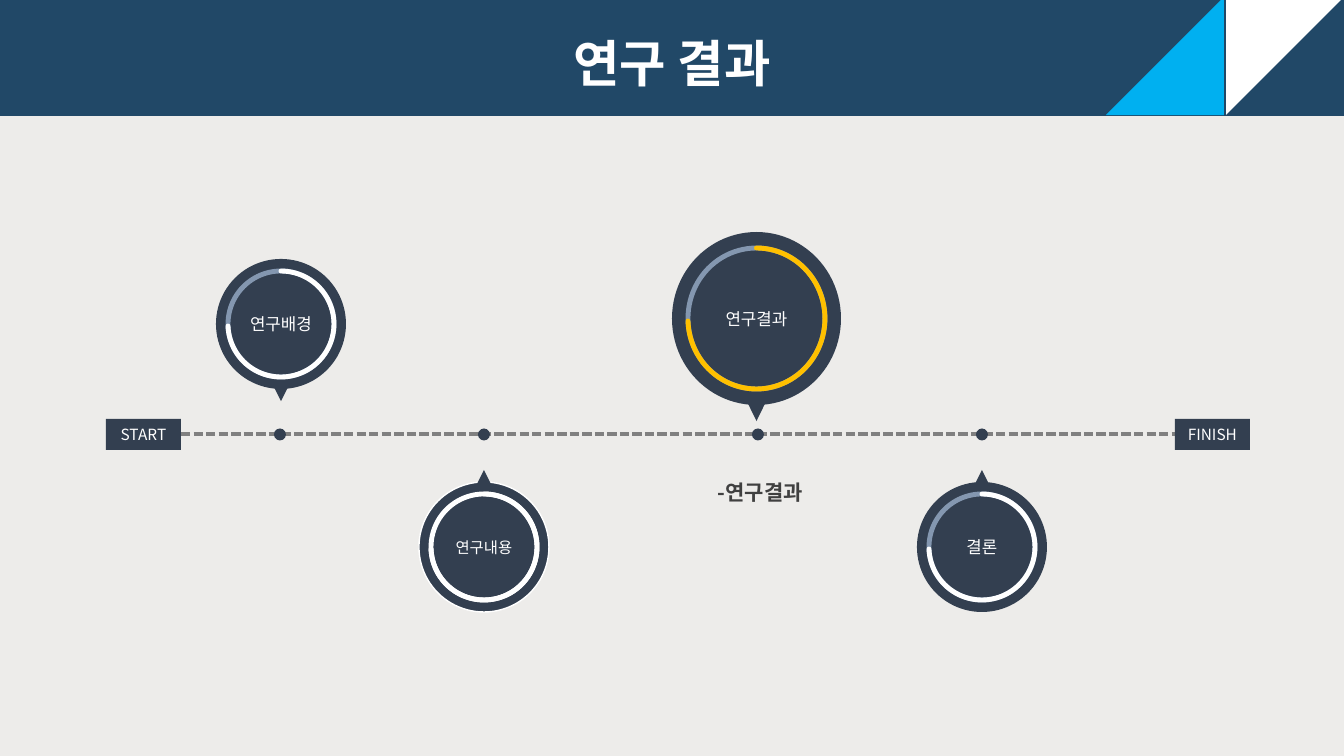
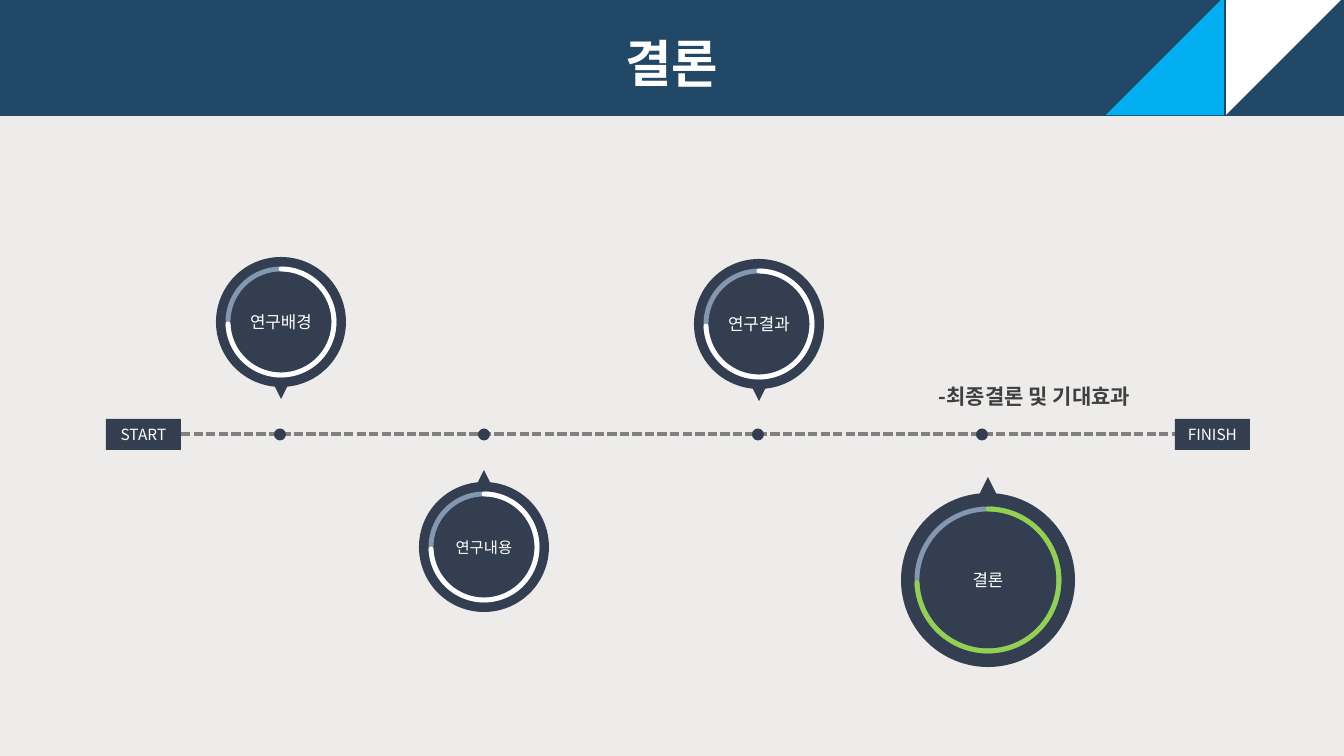
import dataclasses

import pptx
import pptx.dml.color
import pptx.enum.dml
import pptx.enum.shapes
import pptx.enum.text
import pptx.oxml
import pptx.oxml.ns
import pptx.util

SLIDE_WIDTH, SLIDE_HEIGHT = 1344, 756
EMU_PER_PX = 12192000 / SLIDE_WIDTH
SHAPE = pptx.enum.shapes.MSO_SHAPE
ALIGN = pptx.enum.text.PP_ALIGN
ANCHOR = pptx.enum.text.MSO_ANCHOR


@dataclasses.dataclass(frozen=True)
class Theme:
    font: str = "Noto Sans CJK KR"
    page: str = "EDECEA"
    band: str = "214867"
    accent: str = "00B0F0"
    white: str = "FFFFFF"
    dark: str = "333F50"
    track: str = "8497B0"
    axis: str = "808080"
    caption: str = "404040"
    result: str = "FFC000"
    conclusion: str = "92D050"
    title_size: int = 36
    caption_size: int = 15
    stage_size: int = 12
    small_size: int = 11
    ring_width: float = 3.5
    axis_width: float = 2.25


THEME = Theme()


@dataclasses.dataclass(frozen=True)
class Stage:
    """One stage of the timeline: a disc whose pointer faces the axis."""
    label: str
    stop: int
    left: int
    top: int
    width: int = 130
    height: int = 130
    above: bool = True
    size: int = THEME.stage_size
    track: str = THEME.track
    progress: str = THEME.white
    rim: str = ""


BACKGROUND = Stage("연구배경", 280, 216, 259)
RESULT = Stage("연구결과", 758, 694, 259)
CONTENT = Stage("연구내용", 484, 419, 482, above=False, size=THEME.small_size)
CONCLUSION = Stage("결론", 982, 917, 482, above=False)


def px(length):
    return pptx.util.Emu(round(length * EMU_PER_PX))


def rgb(colour):
    return pptx.dml.color.RGBColor.from_string(colour)


class Deck:
    AXIS_Y = 434
    AXIS_START, AXIS_END = 181, 1175
    TAG_WIDTH, TAG_HEIGHT = 75, 31
    DOT = 12
    BAND_TOP, BAND_HEIGHT = -3, 118

    def __init__(self, theme):
        self.theme = theme
        self.file = pptx.Presentation()
        self.file.slide_width = px(SLIDE_WIDTH)
        self.file.slide_height = px(SLIDE_HEIGHT)
        fill = self.file.slide_master.background.fill
        fill.solid()
        fill.fore_color.rgb = rgb(theme.page)
        self.slide = None

    def new_slide(self, title):
        self.slide = self.file.slides.add_slide(self.file.slide_layouts[5])
        self.title(title)
        self.corner(1226, 90, self.theme.white)
        self.corner(1106, 270, self.theme.accent)

    def title(self, text):
        band = self.slide.shapes.title
        band.left, band.top = px(0), px(self.BAND_TOP)
        band.width, band.height = px(SLIDE_WIDTH), px(self.BAND_HEIGHT + 1)
        band.fill.solid()
        band.fill.fore_color.rgb = rgb(self.theme.band)
        self.label(band, text, self.theme.title_size, self.theme.white,
                   bold=True, anchor=ANCHOR.TOP, spacing=1.5)

    def corner(self, left, rotation, colour):
        triangle = self.shape(SHAPE.RIGHT_TRIANGLE, left, self.BAND_TOP,
                              self.BAND_HEIGHT, self.BAND_HEIGHT, fill=colour)
        triangle.rotation = rotation

    def shape(self, kind, left, top, width, height, fill="", line="",
              weight=1, parent=None):
        shapes = (parent or self.slide).shapes
        shape = shapes.add_shape(kind, px(left), px(top), px(width), px(height))
        shape.shadow.inherit = False
        if fill:
            shape.fill.solid()
            shape.fill.fore_color.rgb = rgb(fill)
        else:
            shape.fill.background()
        if line:
            shape.line.color.rgb = rgb(line)
            shape.line.width = pptx.util.Pt(weight)
        else:
            shape.line.fill.background()
        return shape

    def label(self, shape, text, size, colour, bold=False, align=ALIGN.CENTER,
              anchor=ANCHOR.MIDDLE, spacing=1.0):
        frame = shape.text_frame
        frame.word_wrap = True
        frame.auto_size = pptx.enum.text.MSO_AUTO_SIZE.NONE
        frame.vertical_anchor = anchor
        paragraph = frame.paragraphs[0]
        paragraph.alignment = align
        paragraph.line_spacing = spacing
        run = paragraph.add_run()
        run.text = text
        run.font.size = pptx.util.Pt(size)
        run.font.bold = bold
        run.font.color.rgb = rgb(colour)
        run.font.name = self.theme.font
        east_asian = pptx.oxml.parse_xml(
            f'<a:ea {pptx.oxml.ns.nsdecls("a")} typeface="{self.theme.font}"/>')
        latin = run.font._element.find(pptx.oxml.ns.qn("a:latin"))
        latin.addnext(east_asian)

    def tag(self, text, left):
        """Label one end of the axis."""
        box = self.shape(SHAPE.RECTANGLE, left, self.AXIS_Y - 15,
                         self.TAG_WIDTH, self.TAG_HEIGHT, fill=self.theme.dark)
        self.label(box, text, self.theme.small_size, self.theme.white)

    def axis(self):
        line = self.slide.shapes.add_connector(
            pptx.enum.shapes.MSO_CONNECTOR.STRAIGHT,
            px(self.AXIS_START), px(self.AXIS_Y),
            px(self.AXIS_END), px(self.AXIS_Y))
        line.line.color.rgb = rgb(self.theme.axis)
        line.line.width = pptx.util.Pt(self.theme.axis_width)
        line.line.dash_style = pptx.enum.dml.MSO_LINE.SQUARE_DOT
        line._element.spPr.append(pptx.oxml.parse_xml(
            f'<a:effectLst {pptx.oxml.ns.nsdecls("a")}/>'))

    def stage(self, stage):
        group = self.slide.shapes.add_group_shape()
        disc = self.shape(SHAPE.OVAL, stage.left, stage.top, stage.width,
                          stage.height, fill=self.theme.dark, line=stage.rim,
                          parent=group)
        self.label(disc, stage.label, stage.size, self.theme.white)

        inset = round(stage.width * 0.092)
        pointer_width = round(stage.width * 0.27)
        pointer_height = round(stage.height * 0.27)
        if stage.above:
            pointer_top = stage.top + stage.height + inset - pointer_height
        else:
            pointer_top = stage.top - inset
        pointer = self.shape(
            SHAPE.ISOSCELES_TRIANGLE,
            stage.left + (stage.width - pointer_width) / 2, pointer_top,
            pointer_width, pointer_height, fill=self.theme.dark, parent=group)
        pointer.rotation = 180 if stage.above else 0

        ring = (stage.left + inset, stage.top + inset,
                stage.width - 2 * inset, stage.height - 2 * inset)
        self.shape(SHAPE.OVAL, *ring, line=stage.track,
                   weight=self.theme.ring_width, parent=group)
        progress = self.shape(SHAPE.ARC, *ring, line=stage.progress,
                              weight=self.theme.ring_width, parent=group)
        progress.adjustments[0] = 162
        progress.adjustments[1] = 106.73
        outline = progress._element.spPr.find(pptx.oxml.ns.qn("a:ln"))
        outline.set("cap", "rnd")

        self.shape(SHAPE.OVAL, stage.stop - self.DOT / 2,
                   self.AXIS_Y - self.DOT / 2 + 0.5, self.DOT, self.DOT,
                   fill=self.theme.dark)

    def timeline(self, stages):
        self.tag("START", self.AXIS_START - self.TAG_WIDTH)
        self.axis()
        self.tag("FINISH", self.AXIS_END)
        for stage in stages:
            self.stage(stage)

    def caption(self, text, left, top):
        box = self.slide.shapes.add_textbox(px(left), px(top), px(268), px(44))
        self.label(box, text, self.theme.caption_size, self.theme.caption,
                   bold=True, align=ALIGN.LEFT, anchor=ANCHOR.TOP, spacing=1.5)


def main():
    deck = Deck(THEME)

    deck.new_slide("연구 결과")
    current = dataclasses.replace(RESULT, left=672, top=232, width=169,
                                  height=173, progress=THEME.result)
    content = dataclasses.replace(CONTENT, track=THEME.white, rim=THEME.white)
    deck.timeline([BACKGROUND, current, content, CONCLUSION])
    deck.caption("-연구결과", 708, 462)

    deck.new_slide("결론")
    background = dataclasses.replace(BACKGROUND, top=257)
    current = dataclasses.replace(CONCLUSION, left=901, top=493, width=174,
                                  height=174, progress=THEME.conclusion)
    deck.timeline([background, RESULT, CONTENT, current])
    deck.caption("-최종결론 및 기대효과", 929, 366)

    deck.file.save("out.pptx")


if __name__ == "__main__":
    main()
